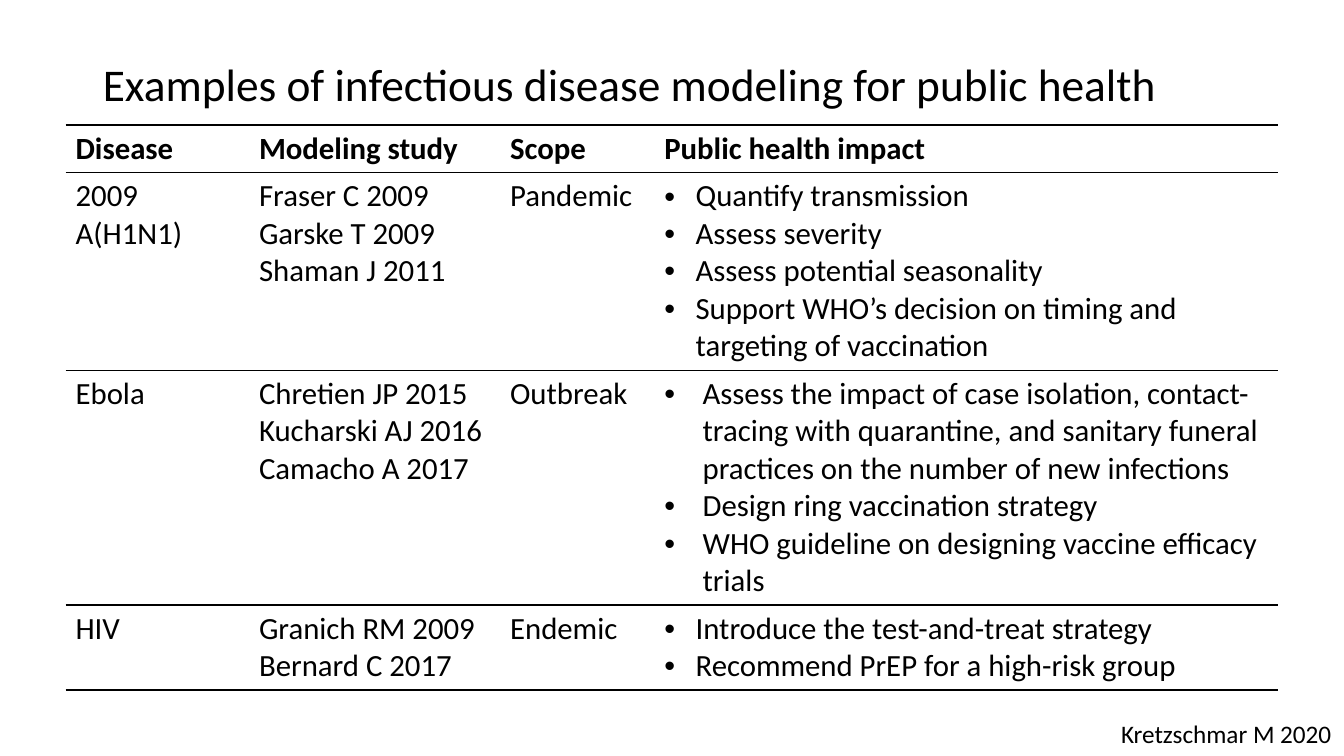
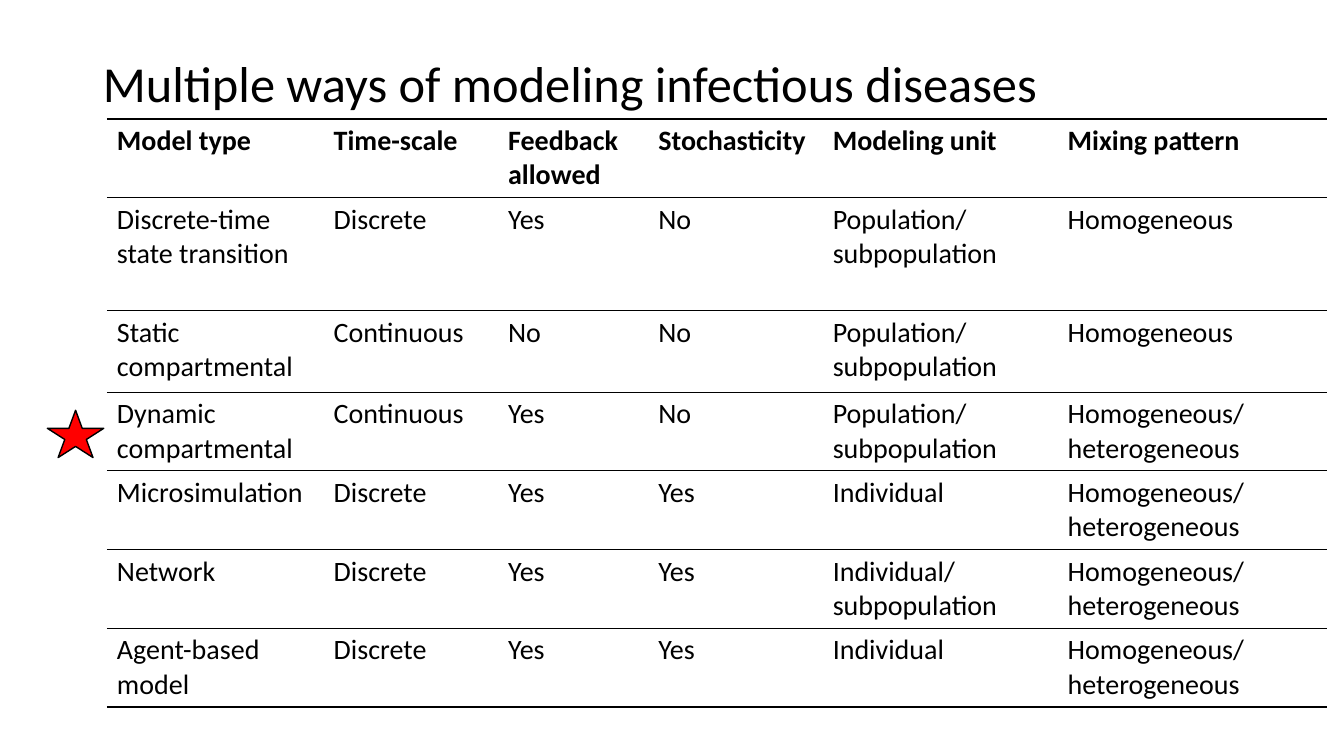
from dataclasses import dataclass

from lxml.etree import SubElement
from pptx import Presentation
from pptx.dml.color import RGBColor
from pptx.enum.shapes import MSO_SHAPE as Shape
from pptx.enum.text import MSO_ANCHOR as Anchor, MSO_AUTO_SIZE as AutoSize, PP_ALIGN as Align
from pptx.oxml.ns import qn
from pptx.util import Inches, Pt


# Theme: colours and type sizes
@dataclass(frozen=True)
class Theme:
    font: str = "Calibri"
    ink: RGBColor = RGBColor(0, 0, 0)
    paper: RGBColor = RGBColor(255, 255, 255)
    accent: RGBColor = RGBColor(255, 0, 0)
    long_title_size: float = 32.4
    title_size: float = 36
    large_table_size: float = 22
    table_size: float = 20
    note_size: float = 18
    rule_width: float = 1
    plain_table: str = "{2D5ABB26-0587-4C30-8999-92F81FD0307C}"


@dataclass(frozen=True)
class Bullets:
    indent: float
    items: tuple


def apply(target, **values):
    for name, value in values.items():
        setattr(target, name, value)


def box(left, top, width, height):
    return [Inches(length) for length in (left, top, width, height)]


class Deck:
    """Holds the theme, the presentation and the current slide."""

    def __init__(self, theme):
        self.theme = theme
        self.presentation = Presentation()
        apply(self.presentation, slide_width=Inches(13.33), slide_height=Inches(7.5))
        self.slide = None

    def add_slide(self, title, size):
        layout = self.presentation.slide_layouts.get_by_name("Title Only")
        self.slide = self.presentation.slides.add_slide(layout)
        fill = self.slide.background.fill
        fill.solid()
        fill.fore_color.rgb = self.theme.paper
        shape = self.slide.shapes.title
        left, top, width, height = box(0.92, 0.4, 11.5, 0.92)
        apply(shape, left=left, top=top, width=width, height=height)
        apply(shape.text_frame, word_wrap=True, auto_size=AutoSize.NONE,
              vertical_anchor=Anchor.MIDDLE)
        paragraph = shape.text_frame.paragraphs[0]
        apply(paragraph, alignment=Align.LEFT, line_spacing=0.9)
        self.add_text(paragraph, title, size)

    def add_text(self, paragraph, text, size, bold=False):
        run = paragraph.add_run()
        run.text = text
        apply(run.font, name=self.theme.font, size=Pt(size), bold=bold)
        run.font.color.rgb = self.theme.ink

    def add_note(self, text, place):
        frame = self.slide.shapes.add_textbox(*box(*place)).text_frame
        apply(frame, word_wrap=False, auto_size=AutoSize.SHAPE_TO_FIT_TEXT)
        self.add_text(frame.paragraphs[0], text, self.theme.note_size)

    def add_star(self, place):
        star = self.slide.shapes.add_shape(Shape.STAR_5_POINT, *box(*place))
        star.shadow.inherit = False
        star.fill.solid()
        star.fill.fore_color.rgb = self.theme.accent
        star.line.color.rgb = self.theme.ink
        star.line.width = Pt(self.theme.rule_width)

    def add_table(self, left, top, widths, heights, rows, size):
        place = box(left, top, sum(widths), sum(heights))
        frame = self.slide.shapes.add_table(len(rows), len(widths), *place)
        frame.element.find(".//" + qn("a:tableStyleId")).text = self.theme.plain_table
        table = frame.table
        table.horz_banding = False
        for column, width in zip(table.columns, widths):
            column.width = Inches(width)
        for row, height in zip(table.rows, heights):
            row.height = Inches(height)
        for row_index, row in enumerate(rows):
            for column_index, content in enumerate(row):
                cell = table.cell(row_index, column_index)
                self.fill_cell(cell, content, size, bold=row_index == 0)

    def fill_cell(self, cell, content, size, bold):
        bulleted = isinstance(content, Bullets)
        lines = content.items if bulleted else content.split("\n")
        frame = cell.text_frame
        for index, line in enumerate(lines):
            paragraph = frame.add_paragraph() if index else frame.paragraphs[0]
            if bulleted:
                self.add_bullet(paragraph, content.indent)
            self.add_text(paragraph, line, size, bold)
        self.rule_cell(cell)
        cell.fill.background()

    def add_bullet(self, paragraph, indent):
        properties = paragraph._p.get_or_add_pPr()
        properties.set("marL", str(Inches(indent)))
        properties.set("indent", str(-Inches(indent)))
        SubElement(properties, qn("a:buFont")).set("typeface", "Arial")
        SubElement(properties, qn("a:buChar")).set("char", "•")

    def rule_cell(self, cell):
        properties = cell._tc.get_or_add_tcPr()
        for side in ("a:lnT", "a:lnB"):
            rule = SubElement(properties, qn(side), w=str(Pt(self.theme.rule_width)))
            fill = SubElement(rule, qn("a:solidFill"))
            SubElement(fill, qn("a:srgbClr")).set("val", str(self.theme.ink))


# Slide content
STUDIES = [
    ("Disease", "Modeling study", "Scope", "Public health impact"),
    ("2009 A(H1N1)", "Fraser C 2009\nGarske T 2009\nShaman J 2011", "Pandemic",
     Bullets(0.31, (
         "Quantify transmission",
         "Assess severity",
         "Assess potential seasonality",
         "Support WHO’s decision on timing and targeting of vaccination"))),
    ("Ebola", "Chretien JP 2015\nKucharski AJ 2016\nCamacho A 2017", "Outbreak",
     Bullets(0.38, (
         "Assess the impact of case isolation, contact-tracing with quarantine, "
         "and sanitary funeral practices on the number of new infections",
         "Design ring vaccination strategy",
         "WHO guideline on designing vaccine efficacy trials"))),
    ("HIV", "Granich RM 2009\nBernard C 2017", "Endemic",
     Bullets(0.31, (
         "Introduce the test-and-treat strategy",
         "Recommend PrEP for a high-risk group"))),
]

GROUPS = "Population/\nsubpopulation"
ANY_MIXING = "Homogeneous/\nheterogeneous"
MODELS = [
    ("Model type", "Time-scale", "Feedback\nallowed", "Stochasticity",
     "Modeling unit", "Mixing pattern"),
    ("Discrete-time state transition", "Discrete", "Yes", "No", GROUPS, "Homogeneous"),
    ("Static compartmental", "Continuous", "No", "No", GROUPS, "Homogeneous"),
    ("Dynamic compartmental", "Continuous", "Yes", "No", GROUPS, ANY_MIXING),
    ("Microsimulation", "Discrete", "Yes", "Yes", "Individual", ANY_MIXING),
    ("Network", "Discrete", "Yes", "Yes", "Individual/\nsubpopulation", ANY_MIXING),
    ("Agent-based model", "Discrete", "Yes", "Yes", "Individual", ANY_MIXING),
]


def main():
    theme = Theme()
    deck = Deck(theme)

    # Modeling studies and their impact
    deck.add_slide("Examples of infectious disease modeling for public health",
                   theme.long_title_size)
    deck.add_table(0.65, 1.24, [1.82, 2.49, 1.53, 6.19], [0.47, 1.96, 2.33, 0.84],
                   STUDIES, theme.large_table_size)
    deck.add_note("Kretzschmar M 2020", (11.02, 7.08, 2.31, 0.4))

    # Comparison of model types
    deck.add_slide("Multiple ways of modeling infectious diseases", theme.title_size)
    deck.add_table(1.06, 1.18, [2.15, 1.73, 1.49, 1.73, 2.33, 2.67],
                   [0.78, 1.12, 0.81] + [0.78] * 4, MODELS, theme.table_size)
    deck.add_star((0.47, 4.07, 0.56, 0.47))

    deck.presentation.save("out.pptx")


if __name__ == "__main__":
    main()
